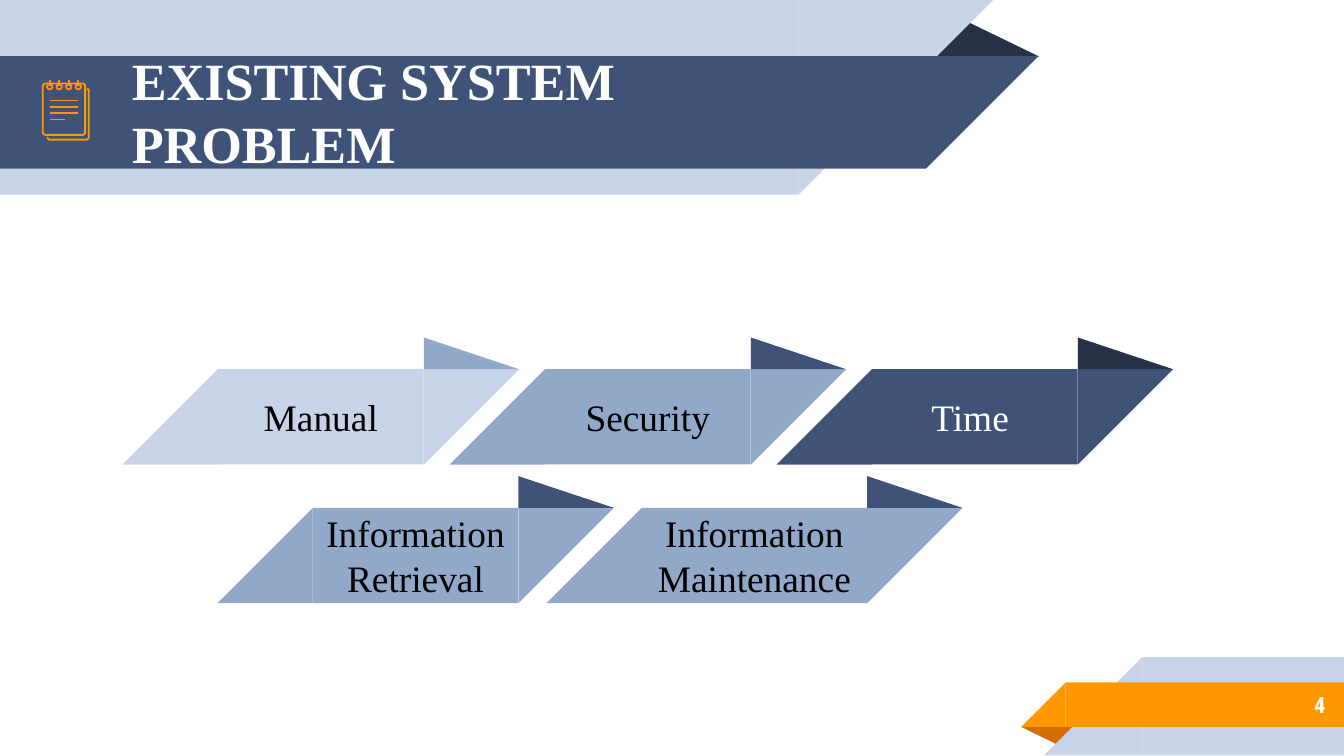
from lxml import etree
from pptx import Presentation
from pptx.dml.color import RGBColor
from pptx.enum.shapes import MSO_CONNECTOR, MSO_SHAPE
from pptx.enum.text import MSO_ANCHOR, MSO_AUTO_SIZE, PP_ALIGN
from pptx.oxml.ns import qn
from pptx.util import Cm, Pt

RECT, OVAL = MSO_SHAPE.RECTANGLE, MSO_SHAPE.OVAL
ROUND = MSO_SHAPE.ROUNDED_RECTANGLE
WEDGE, PEAK = MSO_SHAPE.RIGHT_TRIANGLE, MSO_SHAPE.ISOSCELES_TRIANGLE
LINE = MSO_CONNECTOR.STRAIGHT
MID, FIXED = MSO_ANCHOR.MIDDLE, MSO_AUTO_SIZE.NONE
LEFT, MIDST, RIGHT = PP_ALIGN.LEFT, PP_ALIGN.CENTER, PP_ALIGN.RIGHT

HUES = {
    "pale": "C7D3E6", "mist": "92A8C8", "blue": "3F5378", "navy": "263248",
    "gold": "FF9800", "rust": "D26F00", "white": "FFFFFF", "black": "000000",
}
SERIF = "Times New Roman"
HEAD = {"name": SERIF, "size": Pt(28), "bold": True}
BODY = {"name": SERIF, "size": Pt(20), "bold": False}
PAGE = {"name": "Roboto Condensed", "size": Pt(12), "bold": True}
FRAME = {"word_wrap": True, "auto_size": FIXED, "vertical_anchor": MID,
         "margin_left": Cm(0.25), "margin_right": Cm(0.25),
         "margin_top": Cm(0.25), "margin_bottom": Cm(0.25)}

# Ribbon size in cm: slanted end, flap height
SLANT, FLAP = 1.8, 0.6


def tint(name):
    return RGBColor.from_string(HUES[name])


def apply(item, style):
    for key, value in style.items():
        setattr(item, key, value)


def write(shape, text, style, hue, align):
    frame = shape.text_frame
    apply(frame, FRAME)
    frame.text = text
    para = frame.paragraphs[0]
    para.alignment = align
    apply(para.font, style)
    para.font.color.rgb = tint(hue)


def block(shapes, kind, box, hue, turn=0, peak=None):
    """Add a filled shape without outline."""
    shape = shapes.add_shape(kind, *map(Cm, box))
    shape.shadow.inherit = False
    shape.fill.solid()
    shape.fill.fore_color.rgb = tint(hue)
    shape.line.fill.background()
    shape.rotation = turn
    if peak is not None:
        shape.adjustments[0] = peak
    return shape


def left_end(shapes, x, y, side, hue):
    block(shapes, WEDGE, (x, y, side, side), hue, 270)


def right_end(shapes, x, y, side, hue):
    block(shapes, WEDGE, (x, y, side, side), hue, 90)


def stroke(shape):
    shape.line.color.rgb = tint("gold")
    shape.line.width = Pt(0.96)


def outline(shape):
    shape.shadow.inherit = False
    shape.fill.background()
    stroke(shape)


def rule(shapes, *ends):
    line = shapes.add_connector(LINE, *map(Cm, ends))
    stroke(line)
    etree.SubElement(line.element.spPr, qn("a:effectLst"))


def banner(shapes):
    block(shapes, PEAK, (17.48, 0.36, 2.16, 0.71), "navy", peak=0.324)
    for y, wide, high, hue in ((0, 15.09, 3.68, "pale"),
                               (1.06, 17.5, 2.13, "blue")):
        block(shapes, RECT, (0, y, wide, high), hue)
        right_end(shapes, wide, y, high, hue)


def footer(shapes):
    block(shapes, PEAK, (19.3, 13.74, 1.09, 0.36), "rust", 180, 0.324)
    for x, y, high, hue in ((19.73, 12.42, 1.86, "pale"),
                            (19.3, 12.9, 0.84, "gold")):
        block(shapes, RECT, (x + high, y, 25.4 - x - high, high), hue)
        left_end(shapes, x, y, high, hue)
    box = shapes.add_textbox(Cm(21.16), Cm(12.88), Cm(4.14), Cm(0.89))
    write(box, "4", PAGE, "white", RIGHT)


def notepad(shapes):
    # Sheet behind, then the front sheet
    edge = [(Cm(x), Cm(y)) for x, y in (
        (0.89, 2.59), (0.92, 2.64), (1.65, 2.64),
        (1.68, 2.6), (1.68, 1.7), (1.65, 1.67))]
    pen = shapes.build_freeform(*edge[0])
    pen.add_line_segments(edge[1:], close=False)
    outline(pen.convert_to_shape())
    sheet = shapes.add_shape(ROUND, Cm(0.81), Cm(1.58), Cm(0.8), Cm(0.97))
    sheet.adjustments[0] = 0.06
    outline(sheet)
    # Four rings with pins, and four lines of writing
    for i in range(4):
        x, y = 0.94 + 0.18 * i, 1.9 + 0.12 * i
        outline(shapes.add_shape(OVAL, Cm(x - 0.05), Cm(1.59),
                                 Cm(0.1), Cm(0.1)))
        rule(shapes, x, 1.52, x, 1.63)
        rule(shapes, 0.94, y, 1.22 if i == 3 else 1.47, y)


def ribbon(shapes, x, y, wide, text, hue, flap, ink):
    start, end = x + SLANT, x + SLANT + wide
    body = block(shapes, RECT, (start, y, wide, SLANT), hue)
    write(body, text, BODY, ink, MIDST)
    left_end(shapes, x, y, SLANT, hue)
    right_end(shapes, end, y, SLANT, hue)
    block(shapes, PEAK, (end, y - FLAP, SLANT, FLAP), flap, peak=0)


def main():
    deck = Presentation()
    deck.slide_width, deck.slide_height = Cm(25.4), Cm(14.29)
    slide = deck.slides.add_slide(deck.slide_layouts[5])
    shapes = slide.shapes

    # Frame of the slide
    banner(shapes)
    footer(shapes)
    notepad(shapes)

    # Title, raised above the banner
    title = shapes.title
    apply(title, {"left": Cm(2.24), "top": Cm(1.62),
                  "width": Cm(14.6), "height": Cm(0.97)})
    write(title, "EXISTING SYSTEM PROBLEM", HEAD, "white", LEFT)
    shapes.element.append(title.element)

    # Problems, three above two
    top = (("Manual", "pale", "mist", "black"),
           ("Security", "mist", "blue", "black"),
           ("Time ", "blue", "navy", "white"))
    for i, look in enumerate(top):
        ribbon(shapes, 2.32 + 6.18 * i, 6.98, 3.89, *look)
    low = ((4.11, 3.89, "Information Retrieval"),
           (10.33, 4.26, "Information Maintenance"))
    for x, wide, text in low:
        ribbon(shapes, x, 9.6, wide, text, "mist", "blue", "black")

    deck.save("out.pptx")


if __name__ == "__main__":
    main()
